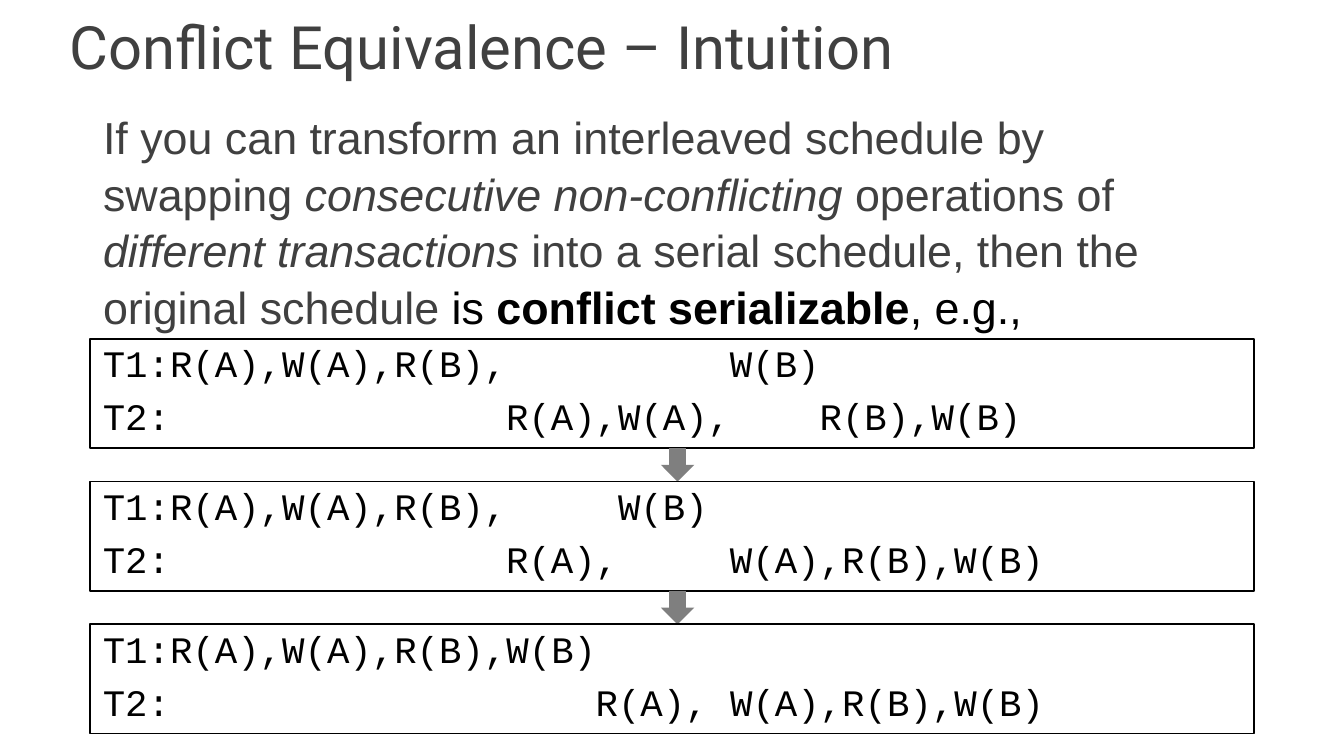
from dataclasses import dataclass

from lxml import etree
from pptx import Presentation
from pptx.dml.color import RGBColor
from pptx.enum import shapes, text
from pptx.oxml.ns import qn
from pptx.util import Pt


@dataclass(frozen=True)
class Theme:
    ink: RGBColor = RGBColor(0x00, 0x00, 0x00)
    muted: RGBColor = RGBColor(0x40, 0x40, 0x40)
    arrow: RGBColor = RGBColor(0x7F, 0x7F, 0x7F)
    title_font: str = "Roboto"
    body_font: str = "Arial"
    code_font: str = "Courier New"
    title_size: int = 32
    body_size: int = 24
    code_size: int = 20
    code_advance: int = 12


def write(paragraph, words, *, font, size, color, bold=False, italic=False):
    run = paragraph.add_run()
    run.text = words
    run.font.name = font
    run.font.size = Pt(size)
    run.font.color.rgb = color
    run.font.bold = bold
    run.font.italic = italic


class SlideBuilder:
    def __init__(self, slide, theme):
        self.slide = slide
        self.theme = theme

    def place(self, holder, left, top, width, height, anchor):
        holder.left, holder.top = Pt(left), Pt(top)
        holder.width, holder.height = Pt(width), Pt(height)
        frame = holder.text_frame
        frame.word_wrap = True
        frame.auto_size = text.MSO_AUTO_SIZE.NONE
        frame.vertical_anchor = anchor
        paragraph = frame.paragraphs[0]
        paragraph.alignment = text.PP_ALIGN.LEFT
        return paragraph

    def title(self, words, *box):
        heading = self.place(self.slide.shapes.title, *box, text.MSO_ANCHOR.MIDDLE)
        write(heading, words, font=self.theme.title_font,
              size=self.theme.title_size, color=self.theme.muted)

    def body(self, phrases, *box):
        definition = self.place(self.slide.placeholders[1], *box, text.MSO_ANCHOR.TOP)
        definition.space_before = Pt(5.5)
        definition.line_spacing = 1.05
        properties = definition._p.get_or_add_pPr()
        properties.set("marL", "0")
        properties.set("indent", "0")
        etree.SubElement(properties, qn("a:buNone"))
        for words, style in phrases:
            look = {"color": self.theme.muted, **style}
            write(definition, words, font=self.theme.body_font,
                  size=self.theme.body_size, **look)

    def shape(self, kind, left, top, width, height):
        outline = self.slide.shapes.add_shape(
            kind, Pt(left), Pt(top), Pt(width), Pt(height))
        outline.shadow.inherit = False
        return outline

    def schedule(self, transactions, *box):
        panel = self.shape(shapes.MSO_SHAPE.RECTANGLE, *box)
        panel.fill.background()
        panel.line.color.rgb = self.theme.ink
        panel.line.width = Pt(1)
        frame = panel.text_frame
        frame.word_wrap = True
        frame.vertical_anchor = text.MSO_ANCHOR.TOP
        for row, (start, *later) in enumerate(transactions):
            transaction = frame.add_paragraph() if row else frame.paragraphs[0]
            transaction.alignment = text.PP_ALIGN.LEFT
            transaction.line_spacing = 0.9
            transaction.space_before = Pt(6.8)
            if later:
                stops = etree.SubElement(
                    transaction._p.get_or_add_pPr(), qn("a:tabLst"))
                for column, _ in later:
                    position = Pt(column * self.theme.code_advance)
                    etree.SubElement(stops, qn("a:tab"), pos=str(position), algn="l")
            words = "\t".join([start, *(operations for _, operations in later)])
            write(transaction, words, font=self.theme.code_font,
                  size=self.theme.code_size, color=self.theme.ink)

    def down_arrow(self, *box):
        swap = self.shape(shapes.MSO_SHAPE.DOWN_ARROW, *box)
        swap.fill.solid()
        swap.fill.fore_color.rgb = self.theme.arrow
        swap.line.fill.background()


DEFINITION = [
    ("If you can transform an interleaved schedule by swapping ", {}),
    ("consecutive non-conflicting ", {"italic": True}),
    ("operations of ", {}),
    ("different transactions ", {"italic": True}),
    ("into a serial schedule, then the original schedule ", {}),
    ("is ", {"color": Theme.ink}),
    ("conflict serializable", {"color": Theme.ink, "bold": True}),
    (", e.g.,", {"color": Theme.ink}),
]

SCHEDULES = [
    [("T1:R(A),W(A),R(B),", (28, "W(B)")),
     ("T2:", (18, "R(A),W(A),"), (32, "R(B),W(B)"))],
    [("T1:R(A),W(A),R(B),", (23, "W(B)")),
     ("T2:", (18, "R(A),"), (28, "W(A),R(B),W(B)"))],
    [("T1:R(A),W(A),R(B),W(B)",),
     ("T2:", (22, "R(A), W(A),R(B),W(B)"))],
]


def main():
    deck = Presentation()
    deck.slide_width, deck.slide_height = Pt(720), Pt(405)
    builder = SlideBuilder(deck.slides.add_slide(deck.slide_layouts[1]), Theme())
    builder.title("Conflict Equivalence – Intuition", 30, 8.5, 672, 32)
    left, width = 48, 624
    builder.body(DEFINITION, left, 54, width, 140)
    first_top, panel_height, arrow_size = 181.5, 58.5, 18
    for step, transactions in enumerate(SCHEDULES):
        top = first_top + step * (panel_height + arrow_size)
        if step:
            builder.down_arrow(left + (width - arrow_size) / 2 + 3,
                               top - arrow_size, arrow_size, arrow_size)
        builder.schedule(transactions, left, top, width, panel_height)
    deck.save("out.pptx")


if __name__ == "__main__":
    main()
